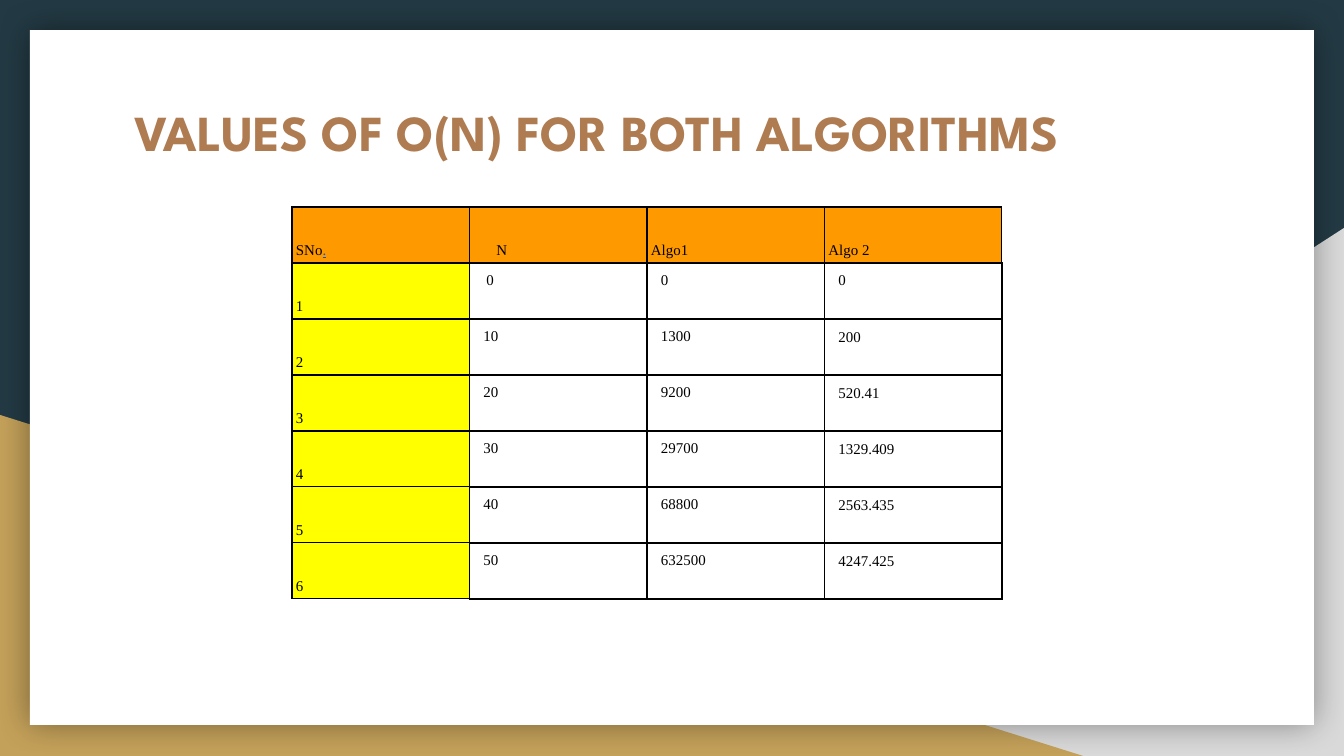
from lxml import etree
from pptx import Presentation, util as u
from pptx.dml.color import RGBColor
from pptx.enum import shapes, text
from pptx.oxml import ns

PX = 914400 / 134.4  # EMU in one px
COLORS = {
    "navy": "233A44", "gold": "C4A15A", "grey": "D9D9D9", "white": "FFFFFF",
    "bronze": "AF7B51", "black": "000000", "orange": "FF9900",
    "yellow": "FFFF00", "link": "1155CC",
}


def px(length):
    return u.Emu(round(length * PX))


def color(name):
    return RGBColor.from_string(COLORS[name])


def add_node(parent, tag, **attributes):
    node = etree.SubElement(parent, ns.qn(tag))
    for name, value in attributes.items():
        node.set(name, str(value))
    return node


def add_text(paragraph, content, font="Times New Roman", size=8, fill="black",
             bold=False, underline=False, spacing=None):
    run = paragraph.add_run()
    run.text = content
    run.font.name, run.font.size = font, u.Pt(size)
    run.font.bold, run.font.underline = bold, underline
    run.font.color.rgb = color(fill)
    if spacing:
        paragraph.line_spacing = spacing


class SlideBuilder:
    def __init__(self, slide):
        self.slide = slide

    def background(self, fill):
        self.slide.background.fill.solid()
        self.slide.background.fill.fore_color.rgb = color(fill)

    def panel(self, kind, box, fill, flip=False, shadow=False):
        shape = self.slide.shapes.add_shape(kind, *map(px, box))
        shape.shadow.inherit = False
        shape.fill.solid()
        shape.fill.fore_color.rgb = color(fill)
        shape.line.fill.background()
        if flip:
            shape._element.spPr.find(ns.qn("a:xfrm")).set("flipH", "1")
        if shadow:
            effects = shape._element.spPr.find(ns.qn("a:effectLst"))
            outer = add_node(effects, "a:outerShdw", blurRad=u.Pt(18), dist=0,
                             algn="ctr", rotWithShape=0)
            tint = add_node(outer, "a:srgbClr", val=COLORS["black"])
            add_node(tint, "a:alpha", val=40000)

    def title(self, content, box):
        title = self.slide.shapes.title
        title.left, title.top, title.width, title.height = map(px, box)
        frame = title.text_frame
        frame.word_wrap = True
        frame.auto_size = text.MSO_AUTO_SIZE.NONE
        frame.vertical_anchor = text.MSO_ANCHOR.TOP
        frame.margin_left = frame.margin_right = u.Inches(0.1)
        frame.margin_top = frame.margin_bottom = u.Inches(0.1)
        paragraph = frame.paragraphs[0]
        paragraph.alignment = text.PP_ALIGN.JUSTIFY
        add_text(paragraph, content, font="League Spartan", size=27,
                 fill="bronze", bold=True, spacing=1.15)
        self.slide.shapes._spTree.append(title._element)  # in front of the panels

    def table(self, rows, box):
        frame = self.slide.shapes.add_table(len(rows), len(rows[0]), *map(px, box))
        table = frame.table
        table.first_row = table.horz_banding = False
        for r, row in enumerate(rows):
            for c, content in enumerate(row):
                cell = table.cell(r, c)
                if r == 0:
                    # The N heading stands further in than the others
                    self.cell(cell, content, "orange", indent=23 if c == 1 else 0)
                elif c == 0:
                    self.cell(cell, content, "yellow")
                else:
                    # The lone 0 under N is set slightly further in
                    self.cell(cell, content, indent=8 if (r, c) == (1, 1) else 5,
                              spacing=1.09 if c == 3 and r > 1 else None)
        return table

    def cell(self, cell, content, fill=None, indent=0, spacing=1.15):
        margin = px(4 if fill else 9)
        cell.margin_left = cell.margin_right = margin
        cell.margin_top = cell.margin_bottom = margin
        cell.vertical_anchor = (text.MSO_ANCHOR.BOTTOM if fill
                                else text.MSO_ANCHOR.TOP)
        properties = cell._tc.get_or_add_tcPr()
        for side in "LRTB":
            line = add_node(properties, f"a:ln{side}", w=u.Pt(0.75 if fill else 1))
            add_node(add_node(line, "a:solidFill"), "a:srgbClr", val=COLORS["black"])
        if fill:
            cell.fill.solid()
            cell.fill.fore_color.rgb = color(fill)
        else:
            cell.fill.background()
        paragraph = cell.text_frame.paragraphs[0]
        if indent:
            paragraph._p.get_or_add_pPr().set("marL", str(px(indent)))
        add_text(paragraph, content, spacing=spacing)


def main():
    presentation = Presentation()
    presentation.slide_width, presentation.slide_height = px(1344), px(756)
    builder = SlideBuilder(
        presentation.slides.add_slide(presentation.slide_layouts[5]))

    # Backdrop
    triangle = shapes.MSO_SHAPE.RIGHT_TRIANGLE
    builder.background("navy")
    builder.panel(triangle, (527, 228, 817, 528), "grey", flip=True)
    builder.panel(triangle, (0, 415, 1083, 341), "gold")
    builder.panel(shapes.MSO_SHAPE.RECTANGLE, (30, 30, 1284, 695), "white",
                  shadow=True)

    # Title
    builder.title("VALUES OF O(N) FOR BOTH ALGORITHMS", (121, 79, 1103, 140))

    # Values
    rows = [
        ("SNo", "N", "Algo1", "Algo 2"),
        ("1", "0", "0", "0"),
        ("2", "10", "1300", "200"),
        ("3", "20", "9200", "520.41"),
        ("4", "30", "29700", "1329.409"),
        ("5", "40", "68800", "2563.435"),
        ("6", "50", "632500", "4247.425"),
    ]
    table = builder.table(rows, (292, 207, 710, 392))
    add_text(table.cell(0, 0).text_frame.paragraphs[0], ".", fill="link",
             underline=True)

    presentation.save("out.pptx")


if __name__ == "__main__":
    main()
